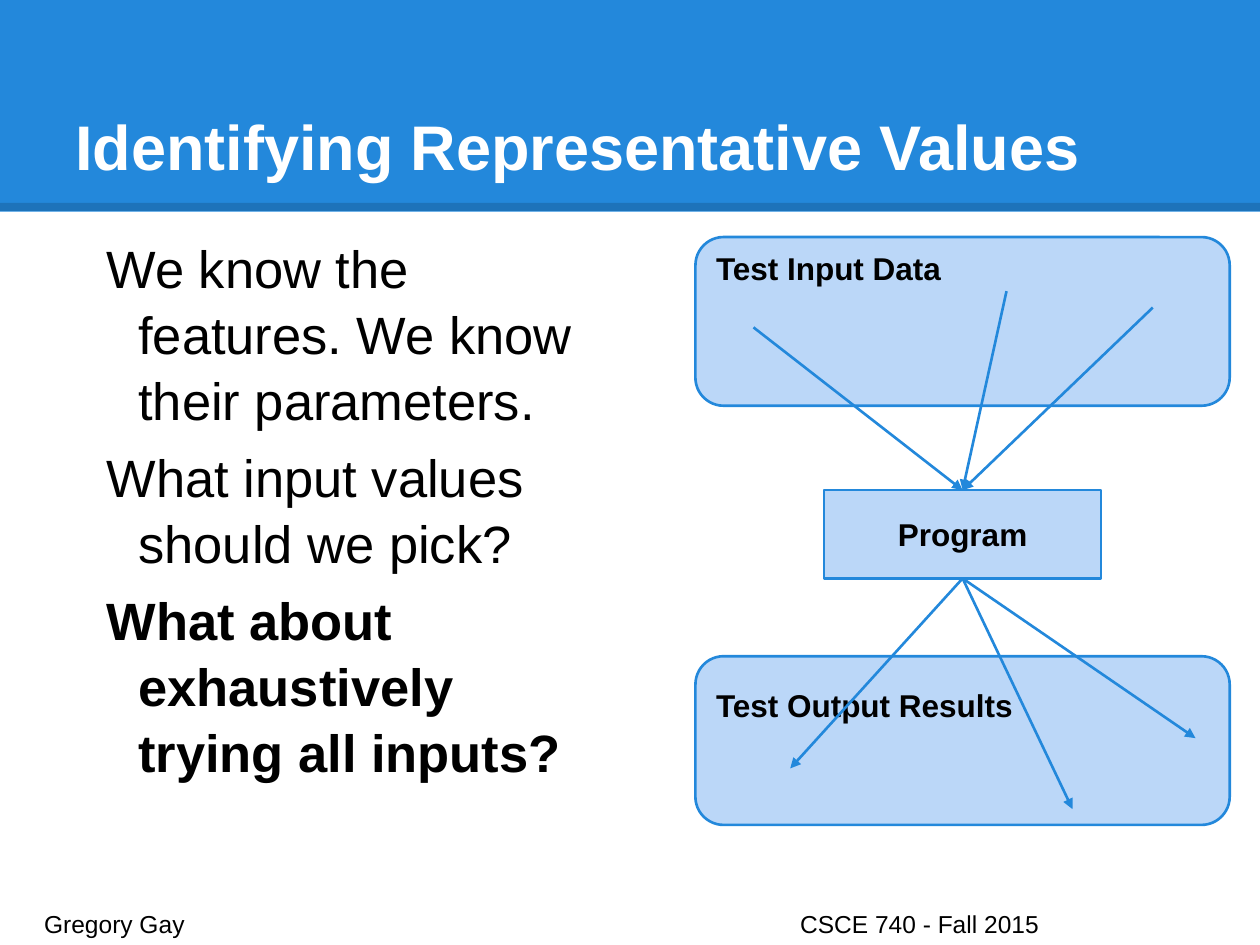
from dataclasses import dataclass

from lxml.etree import SubElement
from pptx import Presentation
from pptx.dml.color import RGBColor
from pptx.enum.shapes import MSO_CONNECTOR, MSO_SHAPE
from pptx.enum.text import MSO_ANCHOR, PP_ALIGN
from pptx.oxml.ns import qn
from pptx.util import Cm, Pt


@dataclass(frozen=True)
class Theme:
    blue: RGBColor = RGBColor(0x23, 0x88, 0xDB)
    pale: RGBColor = RGBColor(0xBB, 0xD7, 0xF8)
    black: RGBColor = RGBColor(0, 0, 0)
    white: RGBColor = RGBColor(255, 255, 255)
    font: str = "Arial"
    title: int = 36
    body: int = 30
    label: int = 18
    footer: int = 14
    line: float = 1.5
    inset: float = 0.25


@dataclass(frozen=True)
class Box:
    left: float
    top: float
    width: float
    height: float

    @property
    def center(self) -> float:
        return self.left + self.width / 2

    @property
    def bottom(self) -> float:
        return self.top + self.height

    def lengths(self) -> list:
        return [Cm(v) for v in (self.left, self.top, self.width, self.height)]


@dataclass(frozen=True)
class Node:
    box: Box
    text: str
    shape: MSO_SHAPE = MSO_SHAPE.ROUNDED_RECTANGLE
    align: PP_ALIGN = PP_ALIGN.LEFT
    anchor: MSO_ANCHOR = MSO_ANCHOR.TOP
    inset_top: float = 0.25


T = Theme()
WIDTH, HEIGHT = 25.4, 19.05
PROGRAM = Box(16.61, 9.88, 5.59, 1.78)
NODES = [
    Node(Box(14.02, 4.78, 10.77, 3.4), "Test Input Data", inset_top=0.08),
    Node(Box(14.02, 13.23, 10.77, 3.4), "Test Output Results", inset_top=0.44),
    Node(PROGRAM, "Program", MSO_SHAPE.RECTANGLE, PP_ALIGN.CENTER, MSO_ANCHOR.MIDDLE),
]
INPUTS = [(15.19, 6.6), (20.29, 5.87), (23.24, 6.2)]
OUTPUTS = [(15.93, 15.49), (21.62, 16.31), (24.1, 14.88)]
BODY = [
    ("We know the features. We know their parameters.", False),
    ("What input values should we pick?", False),
    ("What about exhaustively trying all inputs?", True),
]


def add_text(tf, text: str, *, size: int, color=T.black, bold=False, align=PP_ALIGN.LEFT,
             hanging=False, before=0, spacing=None, tab=None):
    """Write one paragraph, filling the frame's empty first one before adding more."""
    first = not tf.text
    p = tf.paragraphs[0] if first else tf.add_paragraph()
    p.alignment = align
    p.space_before = Pt(0 if first else before)
    if spacing:
        p.line_spacing = spacing
    pPr = p._p.get_or_add_pPr()
    if hanging:
        pPr.set("marL", str(Cm(1.27)))
        pPr.set("indent", str(-Cm(0.64)))
    if tab:
        tabs = SubElement(pPr, qn("a:tabLst"))
        SubElement(tabs, qn("a:tab"), pos=str(Cm(tab)), algn="l")
    r = p.add_run()
    r.text = text
    r.font.name, r.font.size, r.font.bold = T.font, Pt(size), bold
    r.font.color.rgb = color


def set_frame(tf, anchor=MSO_ANCHOR.TOP, inset_top: float = T.inset):
    tf.word_wrap = True
    tf.vertical_anchor = anchor
    tf.margin_left = tf.margin_right = tf.margin_bottom = Cm(T.inset)
    tf.margin_top = Cm(inset_top)


def add_box(s, box: Box, anchor=MSO_ANCHOR.TOP):
    tf = s.shapes.add_textbox(*box.lengths()).text_frame
    set_frame(tf, anchor)
    return tf


def add_filled(s, box: Box, shape: MSO_SHAPE, fill: RGBColor):
    sp = s.shapes.add_shape(shape, *box.lengths())
    sp.shadow.inherit = False
    sp.fill.solid()
    sp.fill.fore_color.rgb = fill
    sp.line.fill.background()
    return sp


def add_node(s, node: Node):
    sp = add_filled(s, node.box, node.shape, T.pale)
    sp.line.color.rgb = T.blue
    sp.line.width = Pt(T.line)
    set_frame(sp.text_frame, node.anchor, node.inset_top)
    add_text(sp.text_frame, node.text, size=T.label, bold=True, align=node.align)


def add_line(s, start: tuple, end: tuple, color: RGBColor, width: float):
    c = s.shapes.add_connector(MSO_CONNECTOR.STRAIGHT, *map(Cm, start + end))
    c.line.color.rgb = color
    c.line.width = Pt(width)
    SubElement(c._element.spPr, qn("a:effectLst"))
    return c


def add_arrow(s, start: tuple, end: tuple):
    c = add_line(s, start, end, T.blue, T.line)
    SubElement(c.line._get_or_add_ln(), qn("a:tailEnd"), type="triangle")


def add_header(s):
    add_filled(s, Box(0, 0, WIDTH, 4.27), MSO_SHAPE.RECTANGLE, T.blue)
    rule = add_line(s, (0, 4.17), (WIDTH, 4.17), T.black, 4.5)
    rgb = rule.line._get_or_add_ln().find(".//" + qn("a:srgbClr"))
    SubElement(rgb, qn("a:alpha"), val="15000")
    tf = add_box(s, Box(1.27, 0.76, 22.86, 3.18), MSO_ANCHOR.BOTTOM)
    add_text(tf, "Identifying Representative Values", size=T.title, color=T.white, bold=True)


def main():
    prs = Presentation()
    prs.slide_width, prs.slide_height = Cm(WIDTH), Cm(HEIGHT)
    s = prs.slides.add_slide(prs.slide_layouts[6])

    add_header(s)
    tf = add_box(s, Box(1.27, 4.45, 11.1, 13.79))
    for text, bold in BODY:
        add_text(tf, text, size=T.body, bold=bold, hanging=True, before=6, spacing=1.05)

    for node in NODES:
        add_node(s, node)
    for point in INPUTS:
        add_arrow(s, point, (PROGRAM.center, PROGRAM.top))
    for point in OUTPUTS:
        add_arrow(s, (PROGRAM.center, PROGRAM.bottom), point)

    tf = add_box(s, Box(0.64, 18.08, 24.16, 0.76))
    add_text(tf, "Gregory Gay\tCSCE 740 - Fall 2015", size=T.footer, tab=15.24)
    prs.save("out.pptx")


if __name__ == "__main__":
    main()
